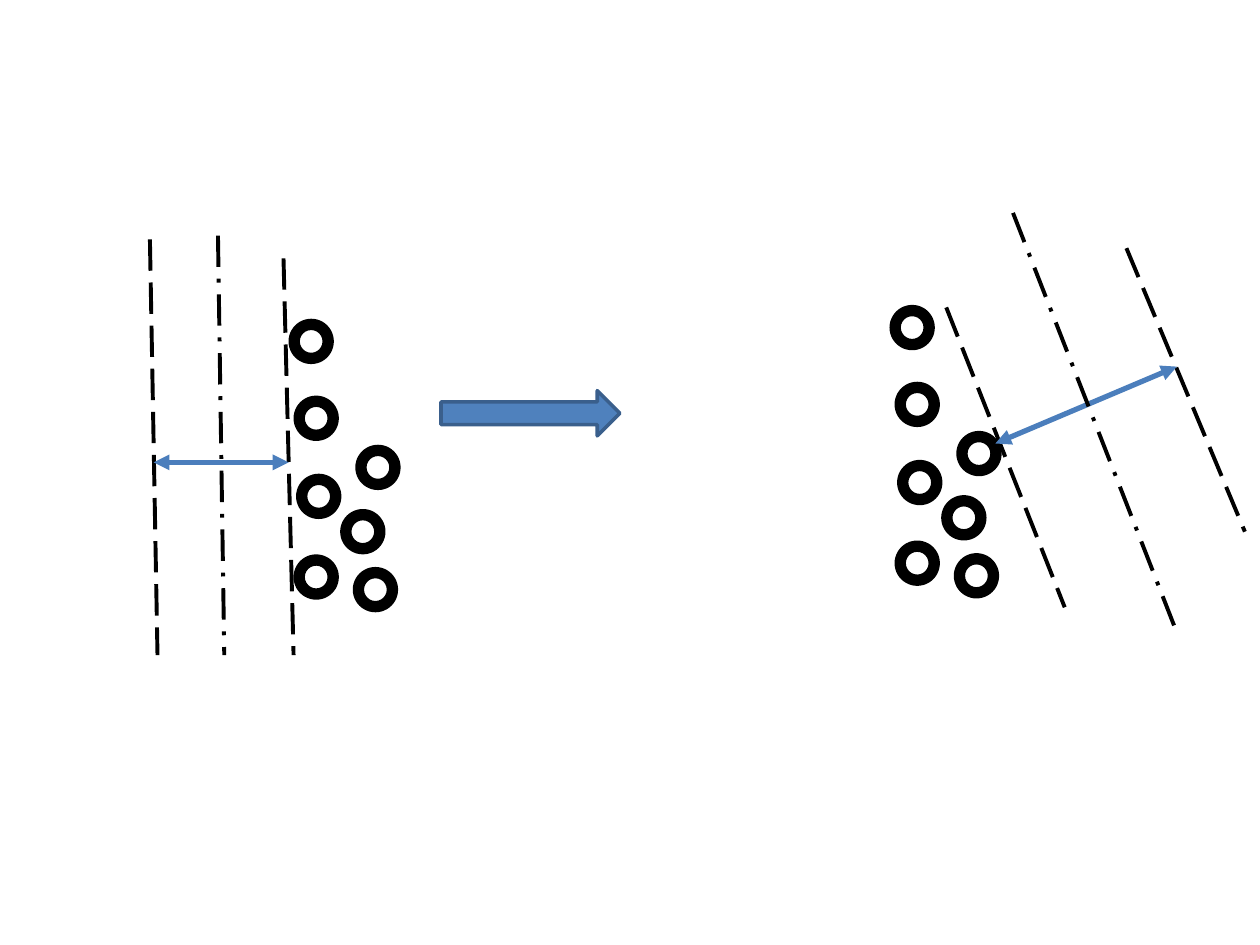
from dataclasses import dataclass

from lxml import etree
from pptx import Presentation
from pptx.dml.color import RGBColor
from pptx.enum.dml import MSO_LINE
from pptx.enum.shapes import MSO_CONNECTOR, MSO_SHAPE
from pptx.oxml.ns import qn
from pptx.util import Pt

PX = 9144  # 100 px to the inch
DASH, DASH_DOT = MSO_LINE.LONG_DASH, MSO_LINE.LONG_DASH_DOT
DONUT, RIGHT_ARROW = MSO_SHAPE.DONUT, MSO_SHAPE.RIGHT_ARROW
STRAIGHT = MSO_CONNECTOR.STRAIGHT


@dataclass(frozen=True)
class Theme:
    ink: RGBColor = RGBColor.from_string("000000")
    arrow_fill: RGBColor = RGBColor.from_string("4F81BD")
    arrow_edge: RGBColor = RGBColor.from_string("3A5F8C")
    span_blue: RGBColor = RGBColor.from_string("4B7EBC")


theme = Theme()


def add_solid(page, kind, left, top, width, height, fill):
    shape = page.shapes.add_shape(kind, left * PX, top * PX, width * PX, height * PX)
    shape.shadow.inherit = False
    shape.fill.solid()
    shape.fill.fore_color.rgb = fill
    shape.line.fill.background()
    return shape


def add_line(page, ends, color, weight, dash=None, arrows=False):
    """Draw a straight line; arrows puts a triangle at both ends."""
    line = page.shapes.add_connector(STRAIGHT, *(value * PX for value in ends))
    line.line.color.rgb = color
    line.line.width = Pt(weight)
    if dash:
        line.line.dash_style = dash
    properties = line._element.spPr
    if arrows:
        outline = properties.find(qn("a:ln"))
        for end in ("a:headEnd", "a:tailEnd"):
            etree.SubElement(outline, qn(end), type="triangle")
    etree.SubElement(properties, qn("a:effectLst"))


deck = Presentation()
deck.slide_width, deck.slide_height = 1000 * PX, 750 * PX
page = deck.slides.add_slide(deck.slide_layouts[6])

# The same cluster of rings stands on both sides
RING = 36
rings = [(229, 253), (282, 353), (233, 314), (235, 376), (270, 404), (280, 450), (233, 440)]
for shift_x, shift_y in [(0, 0), (477, -11)]:
    for left, top in rings:
        add_solid(page, DONUT, left + shift_x, top + shift_y, RING, RING, theme.ink)

# Each band: two edges, the width between them, and the centre line on top
bands = [
    {"edges": [(119, 190, 125, 520), (225, 205, 233, 520)],
     "width": (122, 367, 229, 367), "centre": (173, 187, 178, 520)},
    {"edges": [(751, 244, 845, 482), (894, 197, 988, 422)],
     "width": (790, 352, 934, 291), "centre": (804, 169, 934, 502)},
]
for band in bands:
    for edge in band["edges"]:
        add_line(page, edge, theme.ink, 2.25, dash=DASH)
    add_line(page, band["width"], theme.span_blue, 3, arrows=True)
    add_line(page, band["centre"], theme.ink, 2.25, dash=DASH_DOT)

step_arrow = add_solid(page, RIGHT_ARROW, 350, 310, 142, 36, theme.arrow_fill)
step_arrow.line.color.rgb = theme.arrow_edge
step_arrow.line.width = Pt(2)

deck.save("out.pptx")
